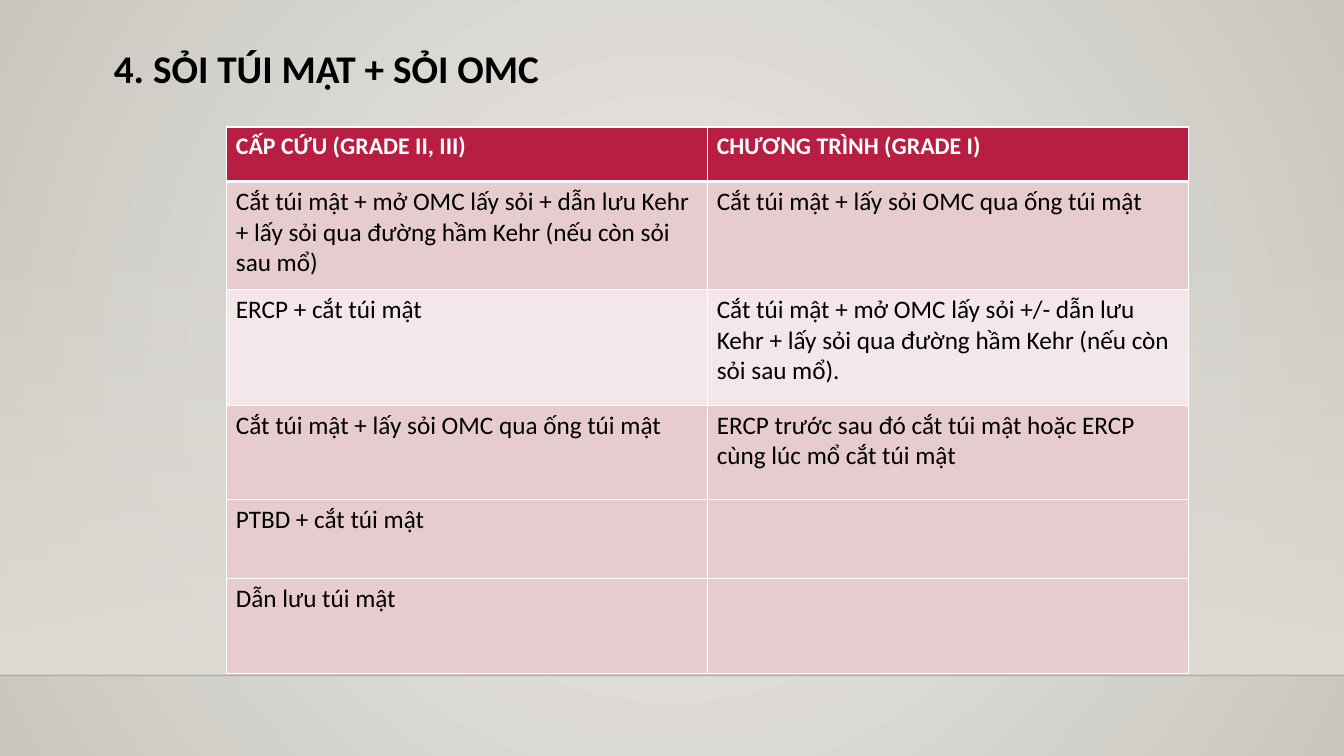
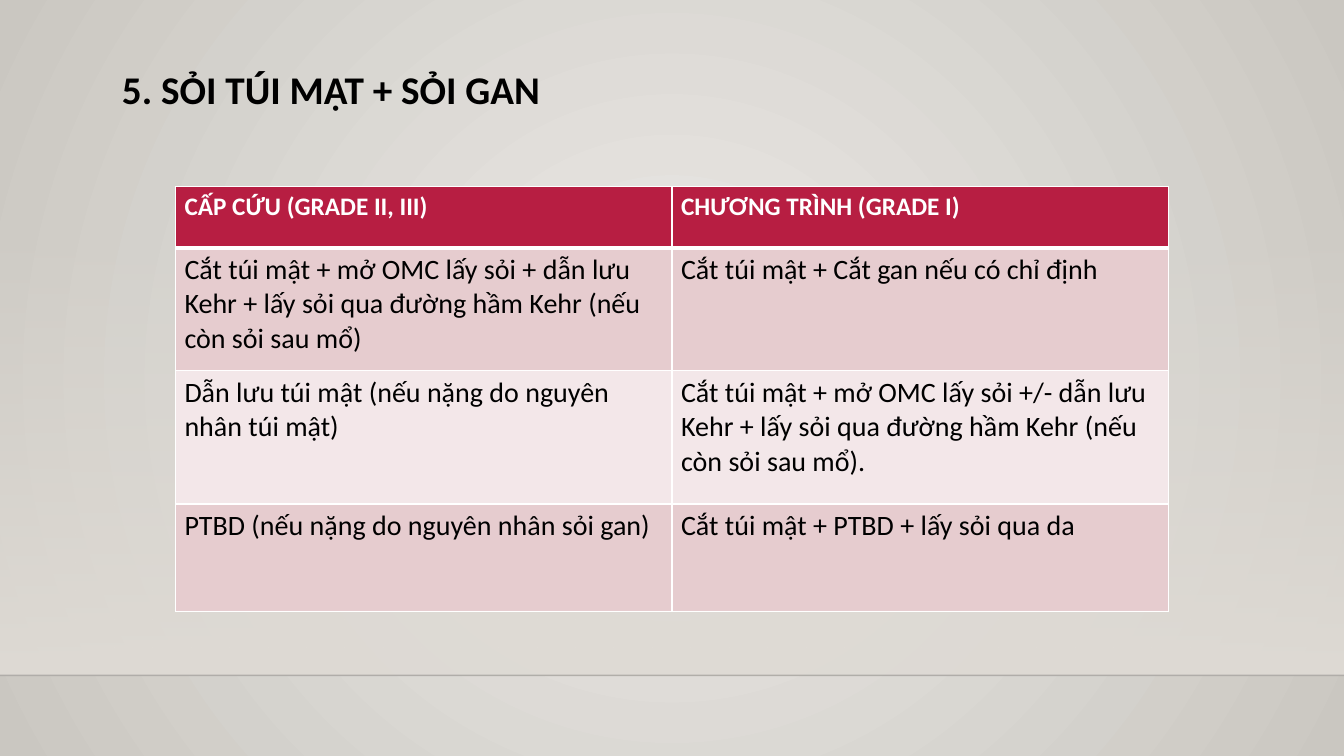
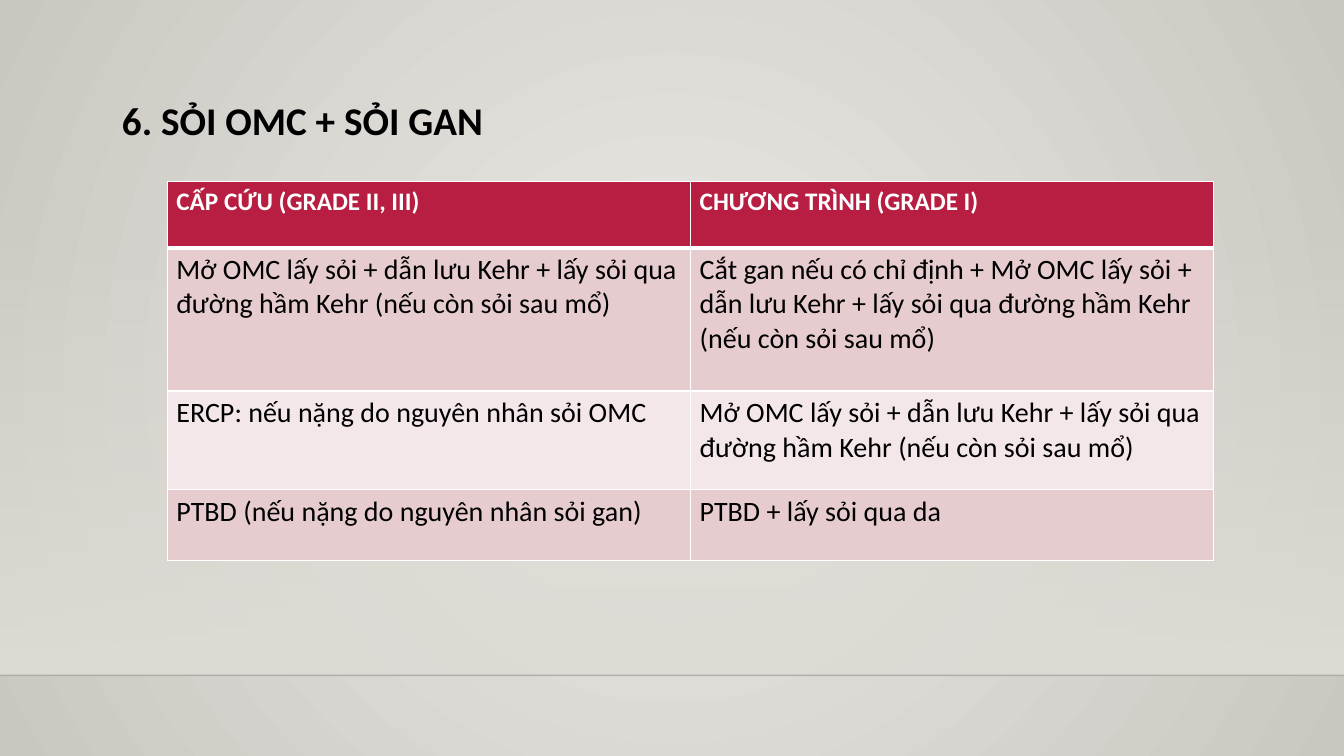
from lxml import etree
from pptx import Presentation
from pptx.dml.color import RGBColor
from pptx.enum.shapes import MSO_CONNECTOR, MSO_SHAPE
from pptx.enum.text import MSO_ANCHOR, MSO_AUTO_SIZE, PP_ALIGN
from pptx.oxml.ns import qn
from pptx.util import Inches, Pt

RECTANGLE = MSO_SHAPE.RECTANGLE
STRAIGHT = MSO_CONNECTOR.STRAIGHT
TOP = MSO_ANCHOR.TOP
LEFT = PP_ALIGN.LEFT
NO_AUTOFIT = MSO_AUTO_SIZE.NONE

BLACK = RGBColor(0x00, 0x00, 0x00)
WHITE = RGBColor(0xFF, 0xFF, 0xFF)
CRIMSON = RGBColor(0xB7, 0x1E, 0x42)
ROSE = RGBColor(0xE6, 0xCC, 0xCF)
PALE_ROSE = RGBColor(0xF3, 0xE7, 0xE9)
GLOW = RGBColor(0xEC, 0xEA, 0xE7)
EDGE = RGBColor(0xCA, 0xC7, 0xC1)
WALL = RGBColor(0xDF, 0xDB, 0xD5)
FLOOR_LINE = RGBColor(0x00, 0x00, 0x01)

FONT = "Calibri"
SLIDE_W, SLIDE_H = 13.33, 7.5
WALL_TOP, FLOOR = 2.21, 6.7
PALE_ROW = 2
THIN, THICK = 1, 3

HEADINGS = ("CẤP CỨU (GRADE II, III)", "CHƯƠNG TRÌNH (GRADE I)")
KEHR_TUNNEL = "lấy sỏi qua đường hầm Kehr (nếu còn sỏi sau mổ)"
OPEN_DUCT = f"Mở OMC lấy sỏi + dẫn lưu Kehr + {KEHR_TUNNEL}"
URGENT_OPEN = f"Cắt túi mật + mở OMC lấy sỏi + dẫn lưu Kehr + {KEHR_TUNNEL}"
PLANNED_OPEN = f"Cắt túi mật + mở OMC lấy sỏi +/- dẫn lưu Kehr + {KEHR_TUNNEL}."
VIA_CYSTIC_DUCT = "Cắt túi mật + lấy sỏi OMC qua ống túi mật"
URGENT_PTBD = "PTBD (nếu nặng do nguyên nhân sỏi gan)"

# Boxes are left, top, width, height in inches.
TOPICS = [
    dict(
        title="4. SỎI TÚI MẬT + SỎI OMC", title_box=(1.03, 0.16, 9, 1.43),
        table_box=(2.25, 1.26, 9.54, 5.41),
        row_heights=(0.54, 1.07, 1.15, 0.94, 0.78, 0.94),
        heading_size=17, body_size=18,
        treatments=[
            (URGENT_OPEN, VIA_CYSTIC_DUCT),
            ("ERCP + cắt túi mật", PLANNED_OPEN),
            (VIA_CYSTIC_DUCT,
             "ERCP trước sau đó cắt túi mật hoặc ERCP cùng lúc mổ cắt túi mật"),
            ("PTBD + cắt túi mật", ""),
            ("Dẫn lưu túi mật", ""),
        ]),
    dict(
        title="5. SỎI TÚI MẬT + SỎI GAN", title_box=(1.11, 0.36, 9.47, 0.73),
        table_box=(1.74, 1.85, 9.85, 4.21),
        row_heights=(0.61, 1.22, 1.32, 1.07),
        heading_size=18, body_size=20,
        treatments=[
            (URGENT_OPEN, "Cắt túi mật + Cắt gan nếu có chỉ định"),
            ("Dẫn lưu túi mật (nếu nặng do nguyên nhân túi mật)", PLANNED_OPEN),
            (URGENT_PTBD, "Cắt túi mật + PTBD + lấy sỏi qua da"),
        ]),
    dict(
        title="6. SỎI OMC + SỎI GAN", title_box=(1.11, 0.67, 9.47, 0.73),
        table_box=(1.66, 1.8, 10.38, 3.76),
        row_heights=(0.66, 1.42, 0.98, 0.7),
        heading_size=18, body_size=20,
        treatments=[
            (OPEN_DUCT, f"Cắt gan nếu có chỉ định + {OPEN_DUCT}"),
            ("ERCP: nếu nặng do nguyên nhân sỏi OMC", OPEN_DUCT),
            (URGENT_PTBD, "PTBD + lấy sỏi qua da"),
        ]),
]


def inches(box):
    return [Inches(length) for length in box]


def set_alpha(color_element, percent):
    etree.SubElement(color_element, qn("a:alpha"), val=str(percent * 1000))


def set_gradient(fill, colors):
    fill.gradient()
    for stop, color in zip(fill.gradient_stops, colors):
        stop.color.rgb = color


def style_runs(text_frame, size, color, bold):
    for paragraph in text_frame.paragraphs:
        for run in paragraph.runs:
            run.font.name = FONT
            run.font.size = Pt(size)
            run.font.color.rgb = color
            run.font.bold = bold


def paint_background(master):
    """Fill the master with a glow that darkens outward from the centre."""
    set_gradient(master.background.fill, (GLOW, EDGE))
    linear = master.element.find(".//" + qn("a:lin"))
    radial = etree.Element(qn("a:path"), path="circle")
    etree.SubElement(radial, qn("a:fillToRect"),
                     l="50000", t="50000", r="50000", b="50000")
    linear.getparent().replace(linear, radial)


def move_wall_to_layout(slide, layout):
    """Draw the wall and floor line, then hand them to the shared layout."""
    wall = slide.shapes.add_shape(
        RECTANGLE, *inches((0, WALL_TOP, SLIDE_W, FLOOR - WALL_TOP)))
    wall.shadow.inherit = False
    wall.line.fill.background()
    set_gradient(wall.fill, (WALL, WALL))
    wall.fill.gradient_angle = 270
    set_alpha(wall.element.find(".//" + qn("a:srgbClr")), 0)

    floor = slide.shapes.add_connector(
        STRAIGHT, *inches((0, FLOOR, SLIDE_W, FLOOR)))
    floor.line.color.rgb = FLOOR_LINE
    floor.line.width = Pt(1)
    set_alpha(floor.element.find(".//" + qn("a:srgbClr")), 20)
    etree.SubElement(floor.element.spPr, qn("a:effectLst"))

    for placeholder in list(layout.placeholders)[1:]:
        layout.shapes.element.remove(placeholder.element)
    for depth, part in enumerate((wall, floor), start=2):
        layout.shapes.element.insert(depth, part.element)


def place_title(slide, text, box):
    title = slide.shapes.title
    title.left, title.top, title.width, title.height = inches(box)
    frame = title.text_frame
    frame.text = text
    frame.word_wrap = True
    frame.auto_size = NO_AUTOFIT
    frame.vertical_anchor = TOP
    frame.paragraphs[0].alignment = LEFT
    frame.paragraphs[0].line_spacing = 1.5
    style_runs(frame, 28, BLACK, True)


def set_borders(cell, top, bottom):
    properties = cell._tc.get_or_add_tcPr()
    sides = (("a:lnL", THIN), ("a:lnR", THIN), ("a:lnT", top), ("a:lnB", bottom))
    for position, (side, width) in enumerate(sides):
        border = etree.Element(qn(side), w=str(Pt(width)))
        fill = etree.SubElement(border, qn("a:solidFill"))
        etree.SubElement(fill, qn("a:srgbClr"), val=str(WHITE))
        properties.insert(position, border)


def place_treatments(slide, treatments, box, row_heights, heading_size, body_size):
    rows = [HEADINGS, *treatments]
    table = slide.shapes.add_table(len(rows), len(HEADINGS), *inches(box)).table
    table.horz_banding = False
    for column in table.columns:
        column.width = Inches(box[2] / len(HEADINGS))
    for index, (texts, height) in enumerate(zip(rows, row_heights)):
        table.rows[index].height = Inches(height)
        is_heading = index == 0
        for column, text in enumerate(texts):
            cell = table.cell(index, column)
            cell.margin_left = cell.margin_right = Inches(0.09)
            cell.margin_top = cell.margin_bottom = Inches(0.05)
            cell.text_frame.text = text
            cell.fill.solid()
            if is_heading:
                cell.fill.fore_color.rgb = CRIMSON
                style_runs(cell.text_frame, heading_size, WHITE, True)
            else:
                cell.fill.fore_color.rgb = PALE_ROSE if index == PALE_ROW else ROSE
                style_runs(cell.text_frame, body_size, BLACK, False)
            set_borders(cell, top=THICK if index == 1 else THIN,
                        bottom=THICK if is_heading else THIN)


def main():
    deck = Presentation()
    deck.slide_width, deck.slide_height = inches((SLIDE_W, SLIDE_H))
    layout = deck.slide_layouts.get_by_name("Title Only")
    paint_background(deck.slide_master)
    slides = [deck.slides.add_slide(layout) for _ in TOPICS]
    move_wall_to_layout(slides[0], layout)
    for slide, topic in zip(slides, TOPICS):
        place_title(slide, topic["title"], topic["title_box"])
        place_treatments(slide, topic["treatments"], topic["table_box"],
                         topic["row_heights"], topic["heading_size"],
                         topic["body_size"])
    deck.save("out.pptx")


if __name__ == "__main__":
    main()
